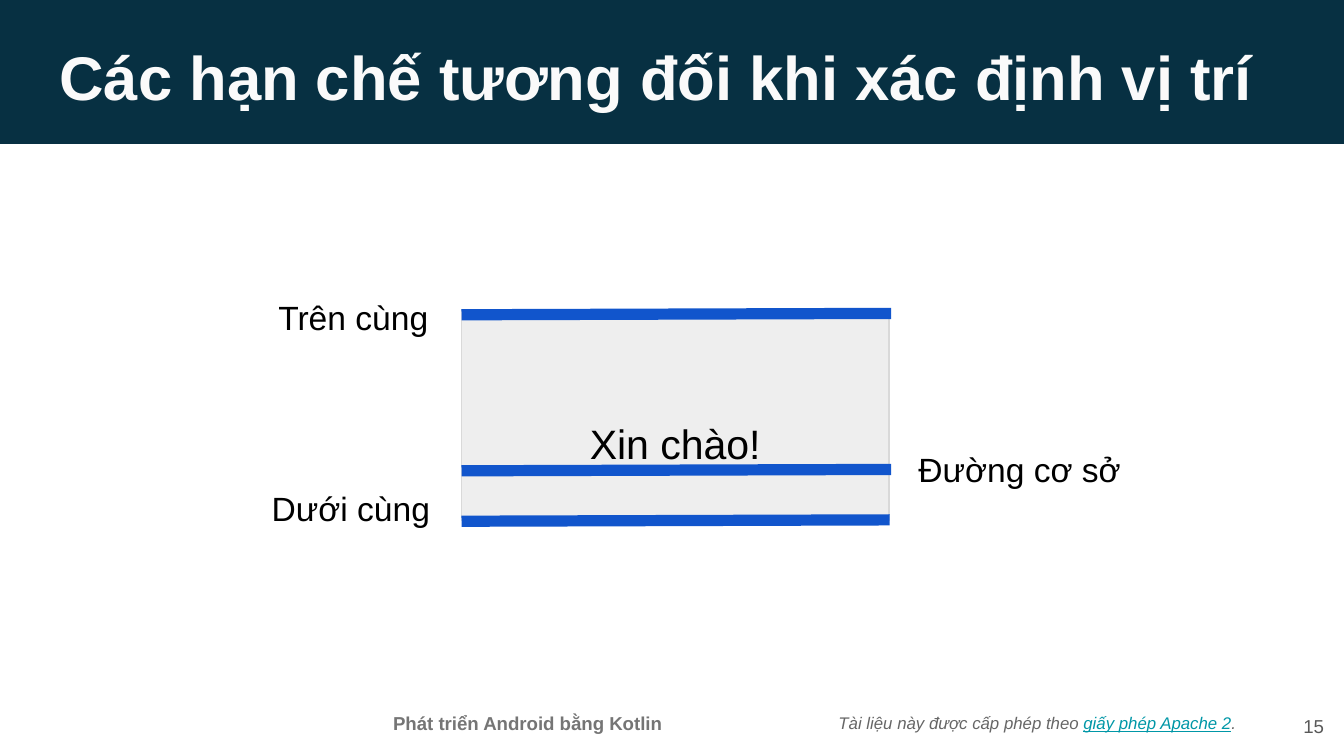
"""Build a slide showing the top, baseline and bottom guides of a text view."""
from pptx import Presentation
from pptx.dml.color import RGBColor
from pptx.enum.shapes import MSO_CONNECTOR, MSO_SHAPE
from pptx.enum.text import MSO_ANCHOR, PP_ALIGN
from pptx.oxml.ns import qn
from pptx.util import Inches, Pt

LEFT, MID, RIGHT = PP_ALIGN.LEFT, PP_ALIGN.CENTER, PP_ALIGN.RIGHT
TOP, HALF, LOW = MSO_ANCHOR.TOP, MSO_ANCHOR.MIDDLE, MSO_ANCHOR.BOTTOM
RECT, LINE = MSO_SHAPE.RECTANGLE, MSO_CONNECTOR.STRAIGHT

HUES = {
    "navy": "073042", "white": "FAFAFA", "panel": "EEEEEE", "edge": "D9D9D9",
    "guide": "1155CC", "black": "000000", "foot": "757575", "note": "666666",
    "page": "595959", "link": "0097A7",
}
FONT = "Arial"

BAND = (-0.1, -0.71, 100.1, 19.75)
PANEL = (34.34, 40.93, 31.8, 27.94)
RISE = 0.18
GUIDES = [(62.28, 66.3), (68.95, 66.2), (41.64, 66.3)]

NOTE = ((61.4, 91.46, 32.1, 8.36), LEFT, HALF, 9, [
    ("Tài liệu này được cấp phép theo ", "note", "i"),
    ("giấy phép Apache 2", "link", "iu"),
    (".", "note", "i")])
HEADS = [
    ((25.1, 92.7, 28.3, 5.69), MID, TOP, 10,
     [("Phát triển Android bằng Kotlin", "foot", "b")]),
    ((3.44, 3.38, 93.2, 11.21), LEFT, TOP, 33,
     [("Các hạn chế tương đối khi xác định vị trí", "white", "b")]),
    ((93.5, 92.17, 6, 7.65), RIGHT, HALF, 10, [("15", "page", "")]),
]
HELLO = ((34.34, 49.82, 31.8, 13.88), MID, LOW, 22, [("Xin chào!", "black", "")])
LABELS = [
    ((19.72, 39.5, 13.9, 4.98), "Trên cùng"),
    ((19.23, 64.77, 15.1, 4.98), "Dưới cùng"),
    ((67.35, 59.61, 19.7, 4.98), "Đường cơ sở"),
]

deck = Presentation()
deck.slide_width = Inches(10)
deck.slide_height = deck.slide_width * 9 // 16
slide = deck.slides.add_slide(deck.slide_layouts[6])
shapes = slide.shapes


def hue(name):
    return RGBColor.from_string(HUES[name])


def place(x, y):
    return int(deck.slide_width * x / 100), int(deck.slide_height * y / 100)


def add_rect(box, fill, edge=None):
    rect = shapes.add_shape(RECT, *place(*box[:2]), *place(*box[2:]))
    rect.shadow.inherit = False
    rect.fill.solid()
    rect.fill.fore_color.rgb = hue(fill)
    if edge:
        rect.line.color.rgb = hue(edge)
        rect.line.width = Pt(0.75)
    else:
        rect.line.fill.background()


def add_text(box, align, anchor, size, runs):
    frame = shapes.add_textbox(*place(*box[:2]), *place(*box[2:])).text_frame
    frame.word_wrap = True
    frame.vertical_anchor = anchor
    frame.margin_left = frame.margin_right = Inches(0.1)
    frame.margin_top = frame.margin_bottom = Inches(0.1)
    para = frame.paragraphs[0]
    para.alignment = align
    for words, tint, style in runs:
        run = para.add_run()
        run.text = words
        font = run.font
        font.name, font.size = FONT, Pt(size)
        font.color.rgb = hue(tint)
        font.bold, font.italic = "b" in style, "i" in style
        font.underline = "u" in style


def add_guide(y, end):
    line = shapes.add_connector(LINE, *place(PANEL[0], y), *place(end, y - RISE))
    line.line.color.rgb = hue("guide")
    line.line.width = Pt(6)
    props = line._element.spPr
    props.append(props.makeelement(qn("a:effectLst"), {}))


add_text(*NOTE)
add_rect(BAND, "navy")
for head in HEADS:
    add_text(*head)
add_rect(PANEL, "panel", "edge")
add_text(*HELLO)
for guide in GUIDES:
    add_guide(*guide)
for box, words in LABELS:
    add_text(box, LEFT, HALF, 18, [(words, "black", "")])

deck.save("out.pptx")
